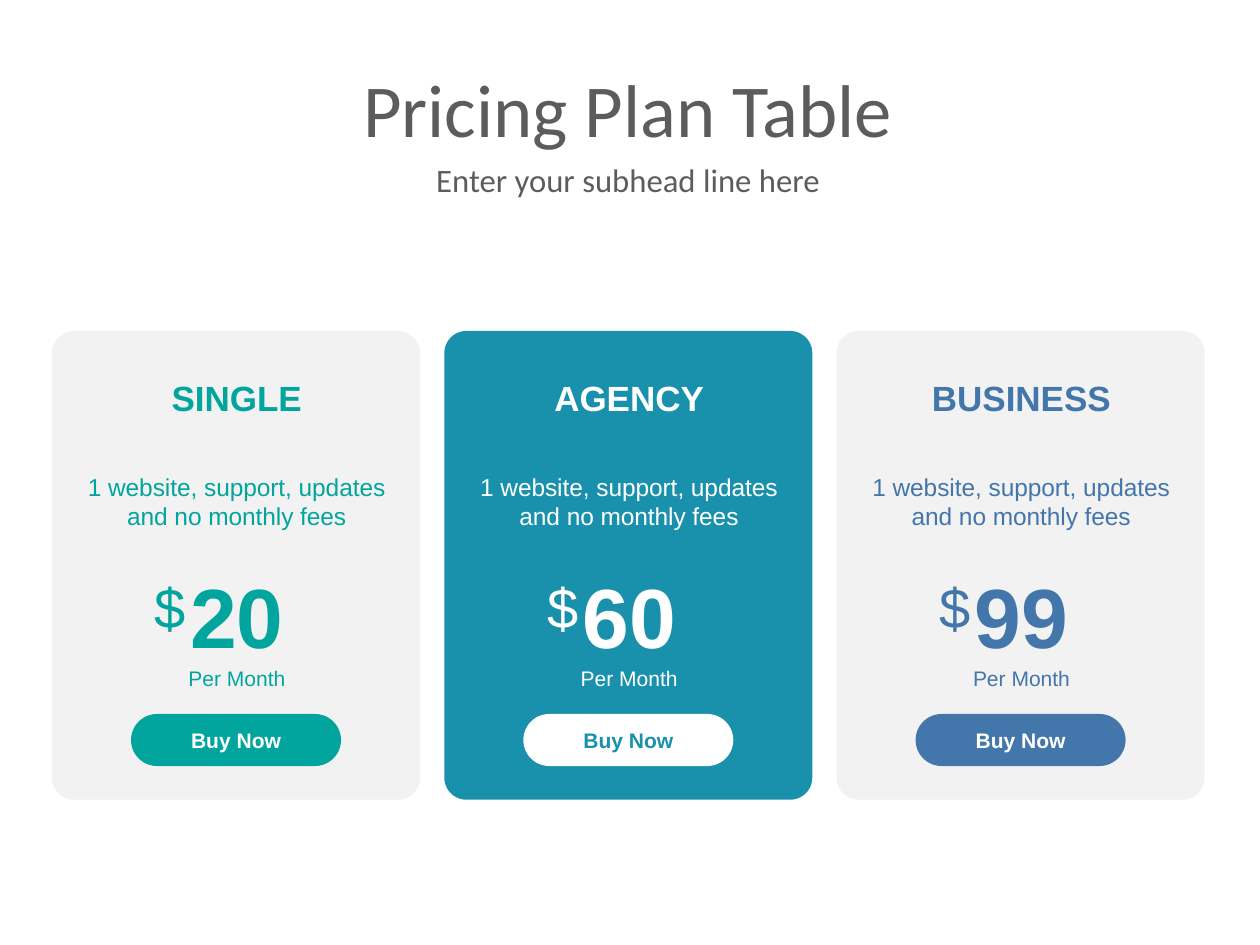
import pptx
import pptx.dml.color
import pptx.enum.shapes
import pptx.enum.text
import pptx.util

Inches = pptx.util.Inches
RGBColor = pptx.dml.color.RGBColor
MIDDLE = pptx.enum.text.MSO_ANCHOR.MIDDLE
TOP = pptx.enum.text.MSO_ANCHOR.TOP

GRAY = RGBColor(0x5C, 0x5C, 0x5C)
LIGHT = RGBColor(0xF2, 0xF2, 0xF2)
WHITE = RGBColor(0xFF, 0xFF, 0xFF)
GREEN = RGBColor(0x01, 0xA5, 0x9E)
TEAL = RGBColor(0x19, 0x91, 0xAC)
BLUE = RGBColor(0x43, 0x76, 0xAB)

presentation = pptx.Presentation()
presentation.slide_width = Inches(7.5)
presentation.slide_height = presentation.slide_width * 3 // 4
slide = presentation.slides.add_slide(presentation.slide_layouts[6])


def add_text(shapes, text, left, top, width, height, *, size, color, font="Arial",
             bold=False, anchor=TOP, wrap=True, fill=None, caption=None):
    """Add centred text, on a pill if fill is given, with an optional 9 pt caption line."""
    if fill is None:
        shape = shapes.add_textbox(Inches(left), Inches(top), Inches(width), Inches(height))
    else:
        shape = add_rounded(shapes, left, top, width, height, 0.5, fill)
    frame = shape.text_frame
    frame.word_wrap = wrap
    frame.vertical_anchor = anchor
    frame.margin_left = frame.margin_right = frame.margin_top = frame.margin_bottom = 0
    paragraph = frame.paragraphs[0]
    paragraph.alignment = pptx.enum.text.PP_ALIGN.CENTER
    lines = [(text, size, bold)]
    if caption:
        lines.append((caption, 9, False))
    for index, (line, line_size, line_bold) in enumerate(lines):
        if index:
            paragraph.add_line_break()
        run = paragraph.add_run()
        run.text = line
        run.font.name = font
        run.font.size = pptx.util.Pt(line_size)
        run.font.bold = line_bold
        run.font.color.rgb = color


def add_rounded(shapes, left, top, width, height, corner, fill):
    shape = shapes.add_shape(
        pptx.enum.shapes.MSO_SHAPE.ROUNDED_RECTANGLE,
        Inches(left), Inches(top), Inches(width), Inches(height))
    shape.adjustments[0] = corner
    shape.shadow.inherit = False
    shape.fill.solid()
    shape.fill.fore_color.rgb = fill
    shape.line.fill.background()
    return shape


MARGIN = 0.31
CONTENT_WIDTH = 6.86
CARD_WIDTH = 2.19
BUTTON_WIDTH = 1.25
CARD_STEP = (CONTENT_WIDTH - CARD_WIDTH) / 2

add_text(slide.shapes, "Enter your subhead line here", MARGIN, 0.97, CONTENT_WIDTH, 0.19,
         size=14, color=GRAY, font="Calibri", anchor=MIDDLE, wrap=False)
add_text(slide.shapes, "Pricing Plan Table", MARGIN, 0.37, CONTENT_WIDTH, 0.54,
         size=32, color=GRAY, font="Calibri", anchor=MIDDLE)

plans = [
    ("SINGLE", "20", LIGHT, GREEN, WHITE),
    ("AGENCY", "60", TEAL, WHITE, TEAL),
    ("BUSINESS", "99", LIGHT, BLUE, WHITE),
]

for index, (plan, price, card_color, accent, button_text_color) in enumerate(plans):
    left = MARGIN + index * CARD_STEP
    card = slide.shapes.add_group_shape().shapes
    add_rounded(card, left, 1.97, CARD_WIDTH, 2.79, 0.06, card_color)
    add_text(card, "Buy Now", left + (CARD_WIDTH - BUTTON_WIDTH) / 2, 4.25, BUTTON_WIDTH, 0.31,
             size=9, color=button_text_color, bold=True, anchor=MIDDLE, fill=accent)
    add_text(card, plan, left + 0.13, 2.24, 1.94, 0.25, size=15, color=accent, bold=True)
    add_text(card, "1 website, support, updates and no monthly fees",
             left + 0.13, 2.81, 1.94, 0.35, size=10.5, color=accent)
    add_text(card, price, left + 0.81, 3.36, 0.58, 0.76, size=36, color=accent,
             bold=True, wrap=False, caption="Per Month")
    add_text(card, "$", left + 0.61, 3.41, 0.19, 0.4, size=24, color=accent, wrap=False)

presentation.save("out.pptx")
